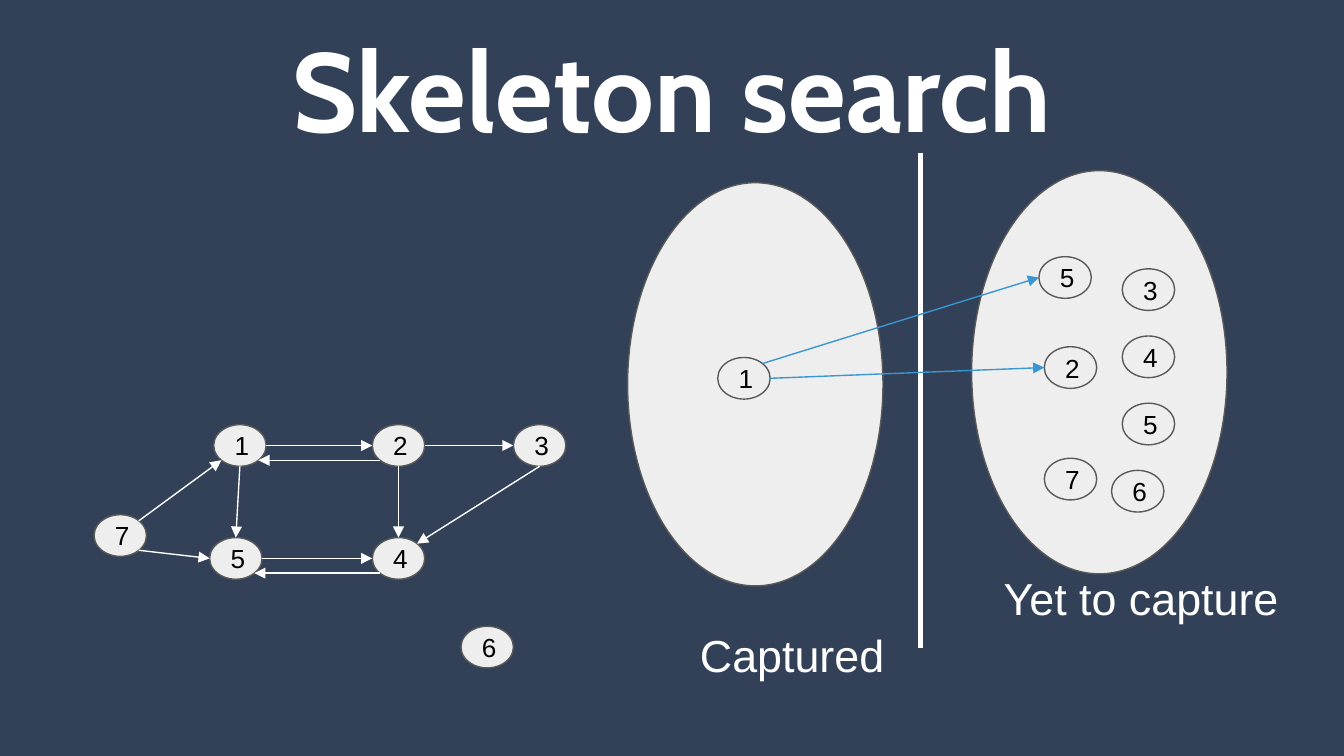
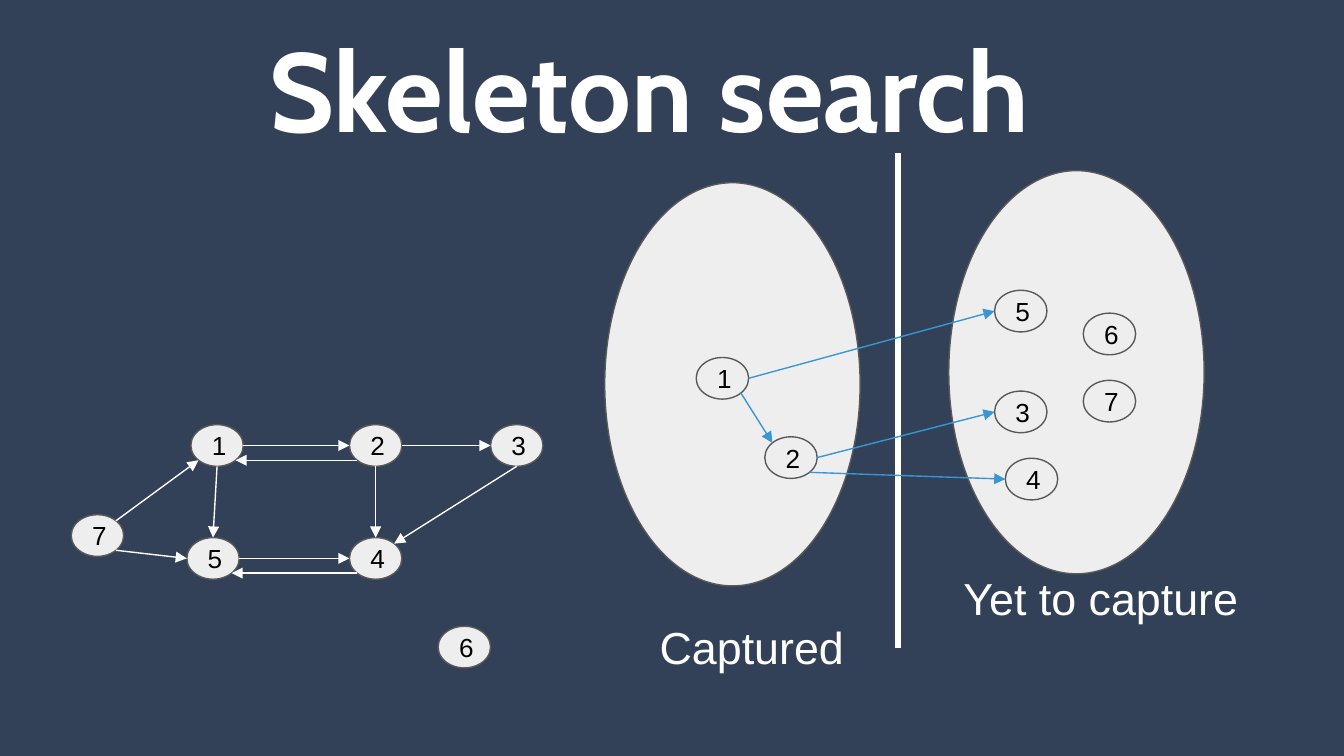
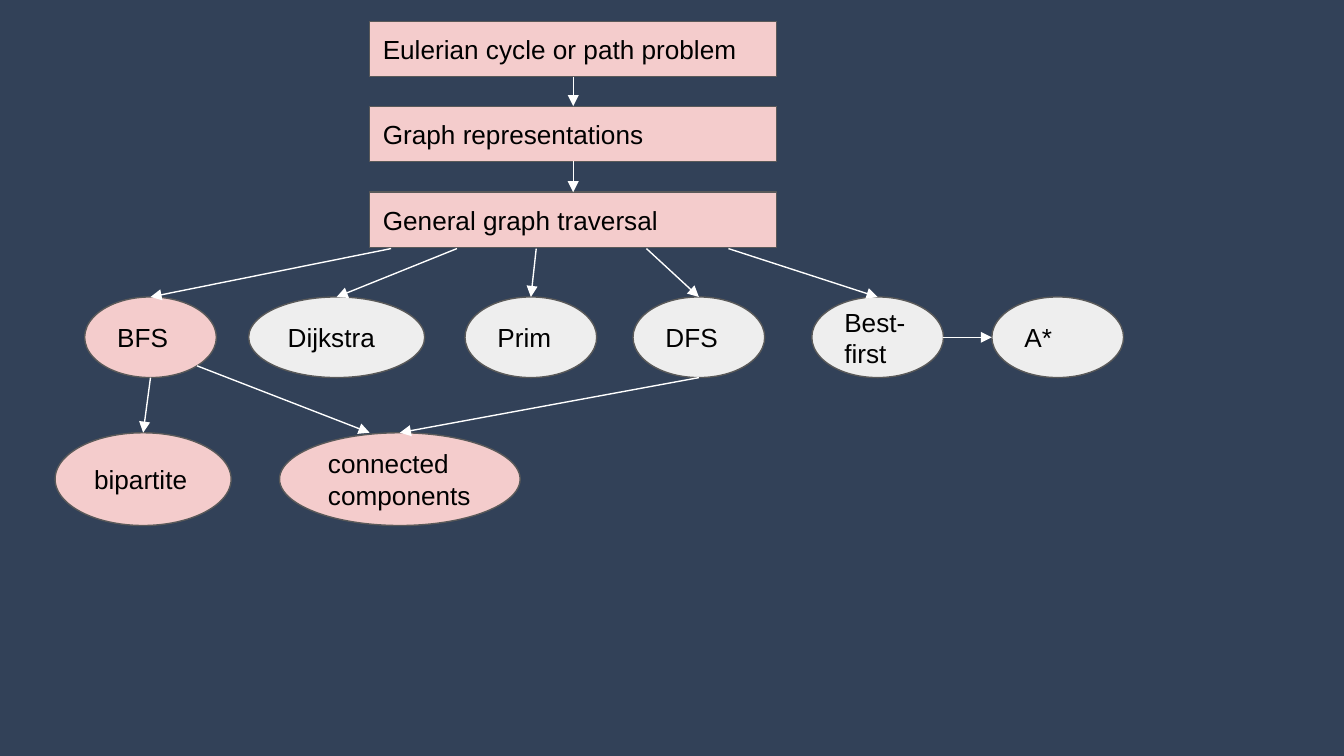
from itertools import pairwise

from lxml import etree
from pptx import Presentation
from pptx.dml.color import RGBColor
from pptx.enum.shapes import MSO_CONNECTOR, MSO_SHAPE
from pptx.enum.text import MSO_ANCHOR as ANCHOR, PP_ALIGN as ALIGN
from pptx.oxml.ns import qn
from pptx.util import Inches, Pt

# Shared look
SLIDE_W, SLIDE_H = 10, 10 * 9 / 16
NAVY, WHITE, BLACK = "324158", "FFFFFF", "000000"
GREY, EDGE, PINK, BLUE = "EEEEEE", "595959", "F4CCCC", "3896D2"
NODE_W, NODE_H = 0.39, 0.31
SET_W, SET_H = 1.9, 3

# Example graph: node positions, and edges as (node, site) to (node, site)
GRAPH_NODES = [("1", 1.59, 3.16), ("2", 2.77, 3.16), ("3", 3.82, 3.16), ("7", 0.7, 3.83),
               ("5", 1.56, 4), ("4", 2.77, 4), ("6", 3.43, 4.66)]
GRAPH_EDGES = [("1", "r", "2", "l"), ("2", "bl", "1", "br"), ("2", "r", "3", "l"),
               ("2", "b", "4", "t"), ("3", "b", "4", "tr"), ("5", "r", "4", "l"),
               ("4", "bl", "5", "br"), ("7", "tr", "1", "bl"), ("7", "br", "5", "l"),
               ("1", "b", "5", "t")]

# Search steps: shift moves the title, the graph, the sets and the divider
SEARCH_STEPS = [
    {"shift": 0, "captured": (5.11, 4.57), "waiting": (7.37, 4.15),
     "nodes": [("1", 5.34, 2.66), ("2", 7.77, 2.58), ("5", 7.73, 1.91), ("3", 8.35, 2),
               ("4", 8.35, 2.5), ("5", 8.35, 3), ("6", 8.27, 3.5), ("7", 7.77, 3.41)],
     "edges": [("1", "r", "2", "l"), ("1", "tr", "5", "l")]},
    {"shift": -0.17, "captured": (4.81, 4.51), "waiting": (7.07, 4.15),
     "nodes": [("1", 5.18, 2.66), ("2", 5.69, 3.25), ("5", 7.4, 2.16), ("3", 7.4, 2.91),
               ("4", 7.48, 3.41), ("6", 8.06, 2.33), ("7", 8.06, 2.83)],
     "edges": [("1", "br", "2", "tl"), ("1", "r", "5", "l"), ("2", "r", "3", "l"),
               ("2", "br", "4", "l")]},
]

# Topic map
TOPICS = [("Eulerian cycle or path problem", 0.16), ("Graph representations", 0.79),
          ("General graph traversal", 1.43)]
TOPIC_X, TOPIC_W, TOPIC_H = 2.75, 3.03, 0.41
# Each method: name, left, width, fill, start of its arrow under the last topic
METHODS = [("BFS", 0.63, 0.98, PINK, 2.91), ("Dijkstra", 1.85, 1.31, GREY, 3.4),
           ("Prim", 3.46, 0.98, GREY, 3.99), ("DFS", 4.71, 0.98, GREY, 4.81),
           ("Best-first", 6.04, 0.98, GREY, 5.42), ("A*", 7.38, 0.98, GREY, None)]
METHOD_Y, METHOD_H = 2.21, 0.6
USES = [("bipartite", 0.41, 1.31), ("connected\ncomponents", 2.08, 1.79)]
USE_Y, USE_H = 3.22, 0.69


def color(hex_value):
    return RGBColor.from_string(hex_value)


def write(tf, text, size=14, font="Arial", fill=BLACK, bold=False,
          align=ALIGN.LEFT, anchor=ANCHOR.MIDDLE):
    tf.word_wrap = True
    tf.vertical_anchor = anchor
    tf.margin_left = tf.margin_right = tf.margin_top = tf.margin_bottom = Inches(0.1)
    p = tf.paragraphs[0]
    p.text = text
    p.alignment = align
    for r in p.runs:
        r.font.size, r.font.name, r.font.bold = Pt(size), font, bold
        r.font.color.rgb = color(fill)


def add_shape(s, kind, box, text=None, fill=GREY):
    sp = s.shapes.add_shape(kind, *map(Inches, box))
    sp.shadow.inherit = False
    sp.fill.solid()
    sp.fill.fore_color.rgb = color(fill)
    sp.line.color.rgb = color(EDGE)
    sp.line.width = Pt(0.75)
    if text:
        write(sp.text_frame, text)


def add_line(s, start, end, stroke=WHITE, width=0.75, arrow=True):
    line = s.shapes.add_connector(MSO_CONNECTOR.STRAIGHT, *map(Inches, (*start, *end)))
    line.line.color.rgb = color(stroke)
    line.line.width = Pt(width)
    if arrow:
        etree.SubElement(line.line._get_or_add_ln(), qn("a:tailEnd"), type="triangle")
    etree.SubElement(line._element.spPr, qn("a:effectLst"))


def add_label(s, text, x, y, w, h):
    box = s.shapes.add_textbox(*map(Inches, (x, y, w, h)))
    write(box.text_frame, text, size=24, fill=WHITE, anchor=ANCHOR.TOP)


def site(box, side):
    """Point on an ellipse, with side made of the letters t, b, l and r."""
    x, y, w, h = box
    reach = 0.5 if len(side) == 1 else 0.5 * 0.5 ** 0.5
    dx = ("r" in side) - ("l" in side)
    dy = ("b" in side) - ("t" in side)
    return x + w / 2 + dx * reach * w, y + h / 2 + dy * reach * h


def draw_graph(s, nodes, edges, shift=0, stroke=WHITE):
    boxes = {}
    for name, x, y in nodes:
        box = (x + shift, y, NODE_W, NODE_H)
        add_shape(s, MSO_SHAPE.OVAL, box, name)
        boxes.setdefault(name, box)  # edges use the first node of a name
    for a, a_side, b, b_side in edges:
        add_line(s, site(boxes[a], a_side), site(boxes[b], b_side), stroke)


def search_slide(prs, step):
    s = prs.slides.add_slide(prs.slide_layouts[5])
    shift = step["shift"]
    title = s.shapes.title
    title.left, title.top, title.width, title.height = map(
        Inches, (0.34 + shift, -0.42, 9.32, 2.14))
    write(title.text_frame, "Skeleton search", size=60, font="Cabin", fill=WHITE,
          bold=True, align=ALIGN.CENTER)
    # Two sets and their divider
    for x, y in ((4.67, 1.36), (7.23, 1.27)):
        add_shape(s, MSO_SHAPE.FLOWCHART_CONNECTOR, (x + shift, y, SET_W, SET_H))
    add_line(s, (6.85 + shift, 1.14), (6.85 + shift, 4.82), width=3, arrow=False)
    add_label(s, "Captured", *step["captured"], 1.63, 0.5)
    add_label(s, "Yet to capture", *step["waiting"], 2.53, 0.31)
    # Example graph, then the search across the sets
    draw_graph(s, GRAPH_NODES, GRAPH_EDGES, shift)
    draw_graph(s, step["nodes"], step["edges"], stroke=BLUE)


def topic_slide(prs):
    s = prs.slides.add_slide(prs.slide_layouts[6])
    # Topics in a column
    for text, y in TOPICS:
        add_shape(s, MSO_SHAPE.RECTANGLE, (TOPIC_X, y, TOPIC_W, TOPIC_H), text, PINK)
    middle = TOPIC_X + TOPIC_W / 2
    for (_, upper), (_, lower) in pairwise(TOPICS):
        add_line(s, (middle, upper + TOPIC_H), (middle, lower))
    # Methods fanning out from the last topic
    boxes = {}
    fan_y = TOPICS[-1][1] + TOPIC_H + 0.01
    for name, x, w, fill, start in METHODS:
        boxes[name] = (x, METHOD_Y, w, METHOD_H)
        add_shape(s, MSO_SHAPE.OVAL, boxes[name], name, fill)
        if start:
            add_line(s, (start, fan_y), site(boxes[name], "t"))
    add_line(s, site(boxes["Best-first"], "r"), site(boxes["A*"], "l"))
    # Uses of the methods
    for name, x, w in USES:
        boxes[name] = (x, USE_Y, w, USE_H)
        add_shape(s, MSO_SHAPE.OVAL, boxes[name], name, PINK)
    bipartite, components = (boxes[name] for name, *_ in USES)
    add_line(s, site(boxes["BFS"], "b"), site(bipartite, "t"))
    add_line(s, site(boxes["BFS"], "br"), (2.75, USE_Y))
    add_line(s, site(boxes["DFS"], "b"), site(components, "t"))


def main():
    prs = Presentation()
    prs.slide_width, prs.slide_height = Inches(SLIDE_W), Inches(SLIDE_H)
    background = prs.slide_master.background.fill
    background.solid()
    background.fore_color.rgb = color(NAVY)
    for step in SEARCH_STEPS:
        search_slide(prs, step)
    topic_slide(prs)
    prs.save("out.pptx")


if __name__ == "__main__":
    main()
